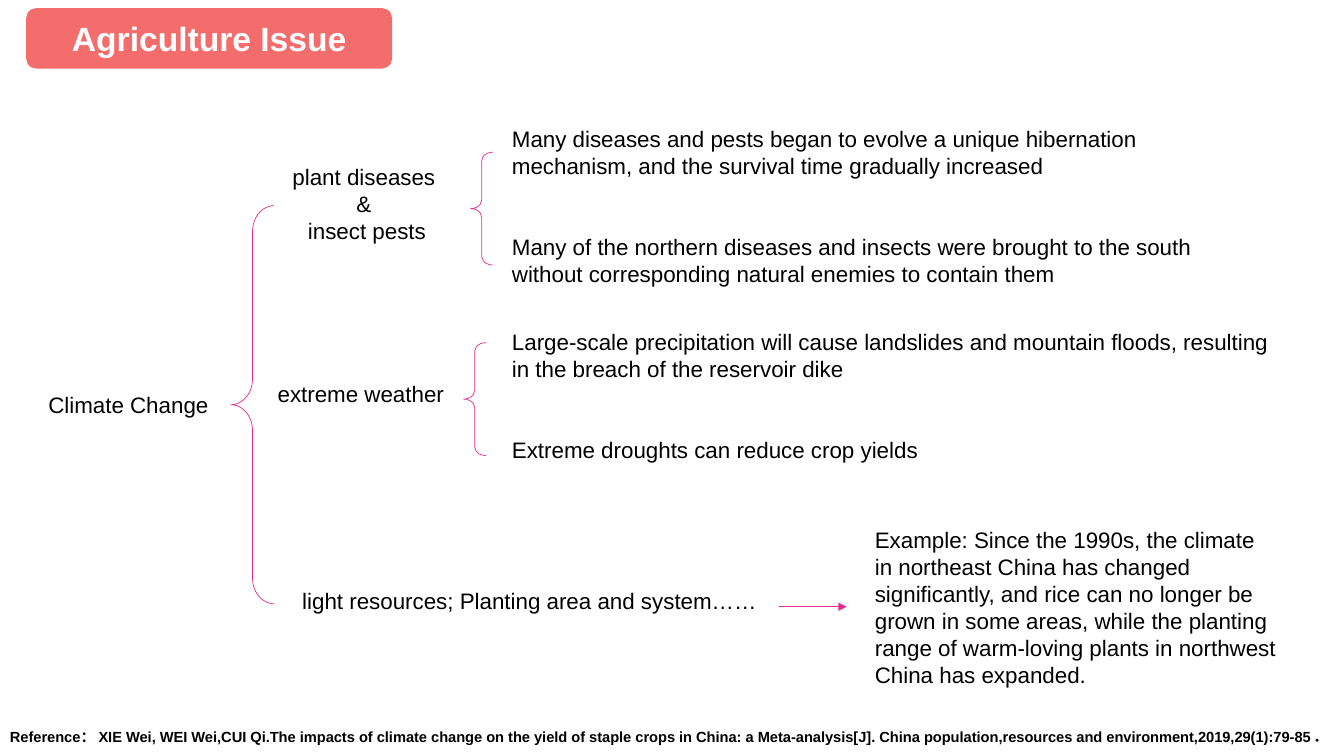
from lxml import etree
from pptx import Presentation
from pptx.dml.color import RGBColor
from pptx.enum.shapes import MSO_CONNECTOR as Connector, MSO_SHAPE as Shape
from pptx.enum.text import MSO_ANCHOR as Anchor, PP_ALIGN as Align
from pptx.oxml.ns import qn
from pptx.util import Pt

COLORS = {"text": "000000", "title": "FFFFFF", "banner": "F36D6D", "line": "E32D91"}
FONT = "Arial"
LINE_HEIGHT = 19.3
PARAGRAPH_GAP = 2 * LINE_HEIGHT


def color(name):
    return RGBColor.from_string(COLORS[name])


def add_run(paragraph, text, size=16, bold=False, color_name="text"):
    run = paragraph.add_run()
    run.text = text
    run.font.name = FONT
    run.font.size = Pt(size)
    run.font.bold = bold
    run.font.color.rgb = color(color_name)


def add_text_box(slide, box):
    shape = slide.shapes.add_textbox(*map(Pt, box))
    shape.text_frame.word_wrap = True
    return shape.text_frame


def add_label(slide, box, lines, align=Align.LEFT, gap=0):
    frame = add_text_box(slide, box)
    for index, text in enumerate(lines):
        paragraph = frame.add_paragraph() if index else frame.paragraphs[0]
        paragraph.alignment = align
        paragraph.line_spacing = Pt(LINE_HEIGHT)
        if index:
            paragraph.space_before = Pt(gap)
        add_run(paragraph, text)


def add_brace(slide, box, curve):
    shape = slide.shapes.add_shape(Shape.LEFT_BRACE, *map(Pt, box))
    shape.shadow.inherit = False
    shape.adjustments[0] = curve
    shape.adjustments[1] = 0.5
    shape.fill.background()
    shape.line.color.rgb = color("line")
    shape.line.width = Pt(0.5)


def add_arrow(slide, left, top, length):
    arrow = slide.shapes.add_connector(
        Connector.STRAIGHT, Pt(left), Pt(top), Pt(left + length), Pt(top))
    arrow.line.color.rgb = color("line")
    arrow.line.width = Pt(0.5)
    etree.SubElement(arrow.line._get_or_add_ln(), qn("a:tailEnd"), type="triangle")
    etree.SubElement(arrow._element.spPr, qn("a:effectLst"))


def add_title(slide, box):
    shape = slide.shapes.add_shape(Shape.ROUNDED_RECTANGLE, *map(Pt, box))
    shape.shadow.inherit = False
    shape.fill.solid()
    shape.fill.fore_color.rgb = color("banner")
    shape.line.fill.background()
    shape.text_frame.vertical_anchor = Anchor.MIDDLE
    paragraph = shape.text_frame.paragraphs[0]
    paragraph.alignment = Align.CENTER
    add_run(paragraph, "Agriculture Issue", 24, True, "title")


def add_root(slide, box):
    left, top, width, height = box
    add_label(slide, (left, top + 128.9, 130.3, 26.6), ["Climate Change"])
    add_brace(slide, (left + width - 31, top, 31, height), 0.593)


def add_branch(slide, box, label_box, brace_offset, label, details):
    left, top, width, height = box
    label_top, label_width, label_height = label_box
    brace_left, brace_top = brace_offset
    add_label(slide, (left, top + label_top, label_width, label_height), label, Align.CENTER)
    add_brace(slide, (left + brace_left, top + brace_top, 15.8, 80.6), 0.384)
    add_label(slide, (left + 171.4, top, width - 171.4, height), details, gap=PARAGRAPH_GAP)


def add_example(slide, box):
    left, top, width, height = box
    add_label(slide, (left, top + 43.9, 345, 26.6),
              ["light resources; Planting area and system……"])
    add_arrow(slide, left + 347.8, top + 61.2, 48.2)
    add_label(slide, (left + width - 301, top, 301, height), [
        "Example: Since the 1990s, the climate in northeast China has changed "
        "significantly, and rice can no longer be grown in some areas, while the "
        "planting range of warm-loving plants in northwest China has expanded."])


def add_reference(slide, box):
    frame = add_text_box(slide, box)
    add_run(frame.paragraphs[0],
            "Reference： XIE Wei, WEI Wei,CUI Qi.The impacts of climate change on the "
            "yield of staple crops in China: a Meta-analysis[J]. China population,"
            "resources and environment,2019,29(1):79-85．", 10.5, True)


def main():
    presentation = Presentation()
    presentation.slide_width = Pt(960)
    presentation.slide_height = Pt(540)
    slide = presentation.slides.add_slide(presentation.slide_layouts[6])

    add_root(slide, (27.4, 146.9, 168.5, 284.4))
    add_branch(
        slide, (187.2, 85.7, 711.4, 123.8), (27.3, 149.8, 67.7), (149, 23),
        ["plant diseases ", "& ", "insect pests"],
        ["Many diseases and pests began to evolve a unique hibernation mechanism, "
         "and the survival time gradually increased",
         "Many of the northern diseases and insects were brought to the south "
         "without corresponding natural enemies to contain them"])
    add_branch(
        slide, (187.2, 230.4, 738, 106.6), (37.4, 141.1, 26.6), (144, 14.4),
        ["extreme weather"],
        ["Large-scale precipitation will cause landslides and mountain floods, "
         "resulting in the breach of the reservoir dike",
         "Extreme droughts can reduce crop yields"])
    add_example(slide, (208.8, 372.2, 710, 123.8))
    add_title(slide, (18.7, 5.8, 261.4, 43.2))
    add_reference(slide, (0, 516.2, 980.6, 20.2))

    presentation.save("out.pptx")


if __name__ == "__main__":
    main()
